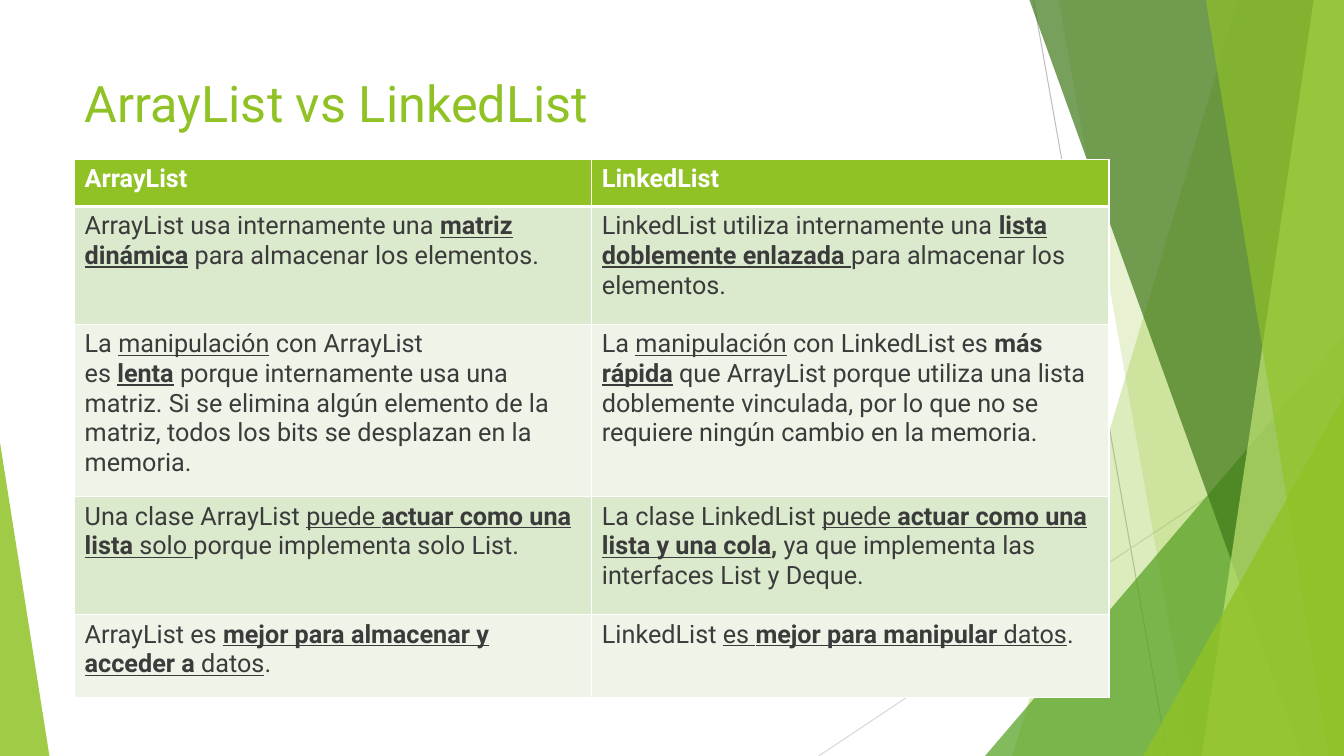
from lxml.etree import SubElement
from pptx import Presentation
from pptx.dml.color import RGBColor
from pptx.enum.shapes import MSO_CONNECTOR, MSO_SHAPE
from pptx.enum.text import MSO_ANCHOR, PP_ALIGN
from pptx.oxml.ns import qn
from pptx.util import Inches, Pt

W, H = 13.33, 7.5
FONT = "Roboto"
GREEN, WHITE, INK = "90C226", "FFFFFF", "3B3B3B"
BANDS = ("DBE9CD", "EEF4E8")

TITLE = "ArrayList vs LinkedList"
HEADERS = ("ArrayList", "LinkedList")
# Each cell is a list of (text, style); b is bold, u is underlined, ~ is a no-break space.
ROWS = [
    ([("ArrayList usa internamente una~", ""), ("matriz dinámica", "bu"),
      ("~para almacenar los elementos.", "")],
     [("LinkedList utiliza internamente una~", ""), ("lista doblemente enlazada~", "bu"),
      ("para almacenar los elementos.", "")]),
    ([("La ", ""), ("manipulación", "u"), (" con ArrayList es~", ""), ("lenta", "bu"),
      ("~porque internamente usa una matriz.~Si se elimina algún elemento de la matriz, "
       "todos los bits se desplazan en la memoria.", "")],
     [("La ", ""), ("manipulación", "u"), (" con LinkedList es~", ""), ("más ", "b"),
      ("rápida", "bu"),
      ("~que ArrayList porque utiliza una lista doblemente vinculada, "
       "por lo que no se requiere ningún cambio en la memoria.", "")]),
    ([("Una clase ArrayList ", ""), ("puede~", "u"), ("actuar como una lista", "bu"),
      ("~solo ", "u"), ("porque implementa solo List.", "")],
     [("La clase LinkedList ", ""), ("puede~", "u"), ("actuar como una lista y una cola", "bu"),
      (",", "b"), ("~ya que implementa las interfaces List y Deque.", "")]),
    ([("ArrayList es~", ""), ("mejor para almacenar y acceder a", "bu"), ("~datos", "u"),
      (".", "")],
     [("LinkedList ", ""), ("es~", "u"), ("mejor para manipular", "bu"), ("~datos", "u"),
      (".", "")]),
]
ROW_HEIGHTS = (0.47, 1.17, 1.71, 1.17, 0.82)
TABLE_LEFT, TABLE_TOP, COL_WIDTH = 0.74, 1.58, 5.13

RAYS = [((10.25, 0), (11.58, H), "BFBFBF"), ((W, 4.03), (8.12, H), "D9D9D9")]
# Bands reach the right edge: (x at top, x at bottom, colour, opacity).
# Wedges stand on the bottom edge: (left, width, height, apex, colour, opacity).
FACETS = [
    ("band", 12.28, 10.04, GREEN, 30),
    ("band", 10.5, 11.83, GREEN, 20),
    ("wedge", 9.77, 3.56, 4.17, 1, "54A021", 72),
    ("band", 10.21, 12.91, "3F7819", 70),
    ("band", 13.03, 11.92, "C0E474", 70),
    ("band", 11.96, 13.18, GREEN, 65),
    ("wedge", 11.34, 1.99, 3.57, 1, GREEN, 80),
    ("wedge", 0, 0.49, 3.11, 0, GREEN, 85),
]


def rgb(color):
    return RGBColor.from_string(color)


def paint(s, color, opacity):
    s.shadow.inherit = False
    s.line.fill.background()
    s.fill.solid()
    s.fill.fore_color.rgb = rgb(color)
    clr = s.fill._xPr.find(qn("a:solidFill"))[0]
    SubElement(clr, qn("a:alpha"), val=str(opacity * 1000))


def add_band(shapes, top_x, bottom_x, color, opacity):
    builder = shapes.build_freeform(Inches(top_x), 0)
    corners = [(W, 0), (W, H), (bottom_x, H)]
    builder.add_line_segments([(Inches(x), Inches(y)) for x, y in corners], close=True)
    paint(builder.convert_to_shape(), color, opacity)


def add_wedge(shapes, left, width, height, apex, color, opacity):
    s = shapes.add_shape(MSO_SHAPE.ISOSCELES_TRIANGLE, Inches(left), Inches(H - height),
                         Inches(width), Inches(height))
    s.adjustments[0] = apex
    paint(s, color, opacity)


def add_ray(shapes, start, end, color):
    s = shapes.add_connector(MSO_CONNECTOR.STRAIGHT, *map(Inches, start + end))
    s.line.color.rgb = rgb(color)
    s.line.width = Pt(0.75)
    SubElement(s._element.spPr, qn("a:effectLst"))


def write(p, runs, size, color):
    p.alignment = PP_ALIGN.LEFT
    for text, style in runs:
        r = p.add_run()
        r.text = text.replace("~", chr(160))
        r.font.name, r.font.size = FONT, Pt(size)
        r.font.color.rgb = rgb(color)
        r.font.bold, r.font.underline = "b" in style, "u" in style


def set_borders(cell, top, bottom):
    """Give the cell white edges, 1 pt at the sides."""
    tcPr = cell._tc.get_or_add_tcPr()
    edges = (("a:lnL", 1), ("a:lnR", 1), ("a:lnT", top), ("a:lnB", bottom))
    for i, (tag, width) in enumerate(edges):
        ln = SubElement(tcPr, qn(tag), w=str(Pt(width)))
        SubElement(SubElement(ln, qn("a:solidFill")), qn("a:srgbClr"), val=WHITE)
        tcPr.insert(i, ln)


def add_comparison(shapes):
    rows = [[[(h, "b")] for h in HEADERS], *ROWS]
    table = shapes.add_table(len(rows), len(HEADERS), Inches(TABLE_LEFT), Inches(TABLE_TOP),
                             Inches(COL_WIDTH * len(HEADERS)),
                             Inches(sum(ROW_HEIGHTS))).table
    for col in table.columns:
        col.width = Inches(COL_WIDTH)
    for i, (row, height) in enumerate(zip(rows, ROW_HEIGHTS)):
        table.rows[i].height = Inches(height)
        for j, runs in enumerate(row):
            cell = table.cell(i, j)
            cell.fill.solid()
            cell.fill.fore_color.rgb = rgb(BANDS[(i - 1) % 2] if i else GREEN)
            set_borders(cell, top=3 if i == 1 else 1, bottom=1 if i else 3)
            write(cell.text_frame.paragraphs[0], runs, 18, INK if i else WHITE)


def main():
    prs = Presentation()
    prs.slide_width, prs.slide_height = Inches(W), Inches(H)
    shapes = prs.slides.add_slide(prs.slide_layouts[5]).shapes
    title = shapes.title

    for ray in RAYS:
        add_ray(shapes, *ray)
    draw = {"band": add_band, "wedge": add_wedge}
    for kind, *facet in FACETS:
        draw[kind](shapes, *facet)

    title.left, title.top = Inches(TABLE_LEFT), Inches(0.67)
    title.width, title.height = Inches(9.4), Inches(0.91)
    title.text_frame.vertical_anchor = MSO_ANCHOR.TOP
    write(title.text_frame.paragraphs[0], [(TITLE, "")], 36, GREEN)
    shapes._spTree.append(title._element)  # in front of the facets

    add_comparison(shapes)
    prs.save("out.pptx")


if __name__ == "__main__":
    main()
